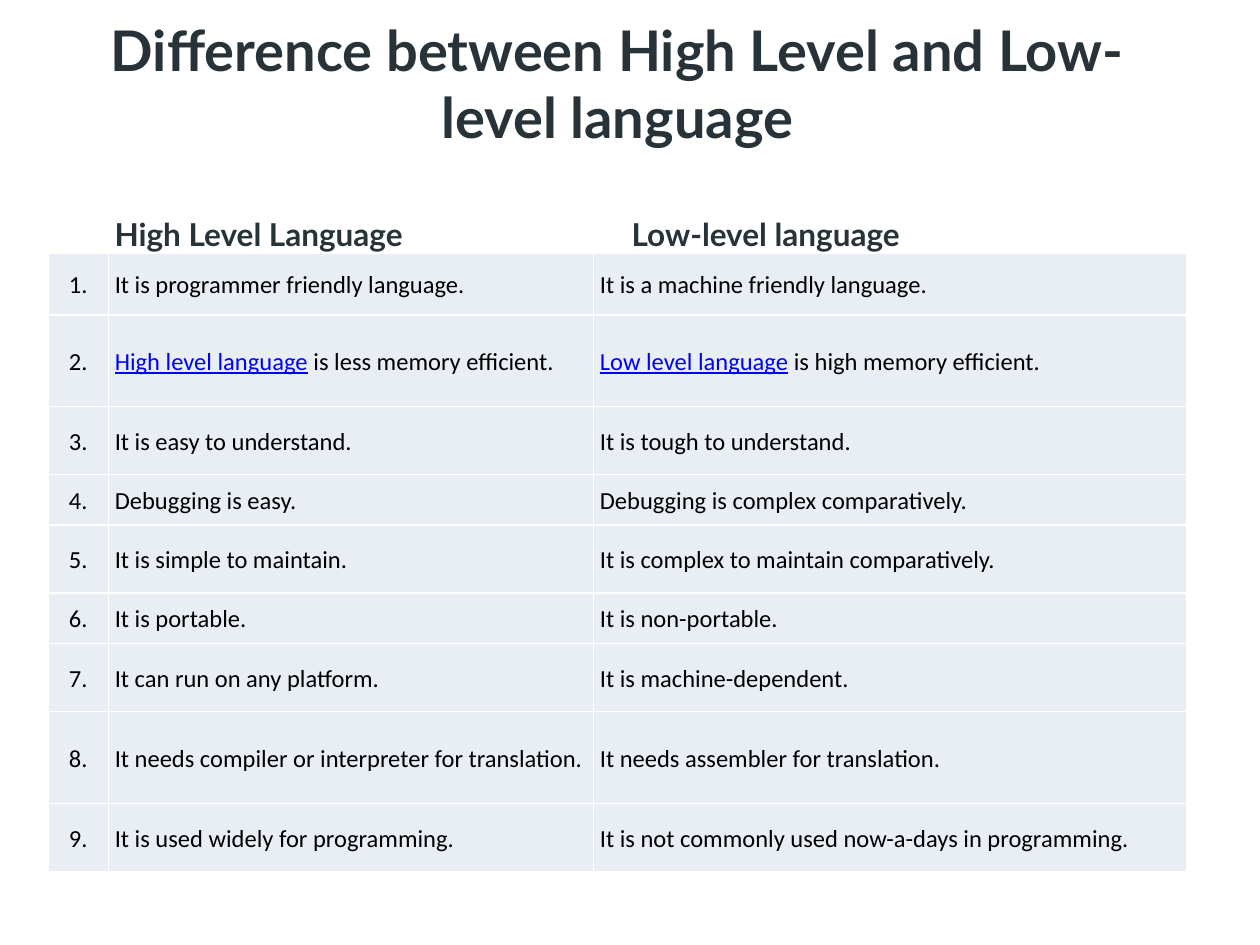
from dataclasses import dataclass

import lxml.etree
import pptx
import pptx.dml.color
import pptx.enum.text
import pptx.oxml.ns
import pptx.util

Pt = pptx.util.Pt
ALIGN = pptx.enum.text.PP_ALIGN
MIDDLE = pptx.enum.text.MSO_ANCHOR.MIDDLE


@dataclass(frozen=True)
class Theme:
    heading_font: str = "Lato"
    body_font: str = "Calibri"
    heading: str = "273239"
    body: str = "000000"
    term: str = "0000FF"
    cell: str = "E9EDF4"
    border: str = "FFFFFF"
    title_size: float = 32
    heading_size: float = 18
    body_size: float = 14


THEME = Theme()

COLUMN_WIDTHS = [34.6, 277.2, 339.1]
SHORT, MEDIUM, TALL = 28.8, 38.9, 52.5
NUMBER_INSETS = (2.2, 2.2)
POINT_INSETS = (3.6, 5)
TERMS = ("High level language", "Low level language")

COMPARISON = [
    (35, "It is programmer friendly language.", "It is a machine friendly language."),
    (TALL, "High level language is less memory efficient.",
     "Low level language is high memory efficient."),
    (MEDIUM, "It is easy to understand.", "It is tough to understand."),
    (SHORT, "Debugging is easy.", "Debugging is complex comparatively."),
    (MEDIUM, "It is simple to maintain.", "It is complex to maintain comparatively."),
    (SHORT, "It is portable.", "It is non-portable."),
    (MEDIUM, "It can run on any platform.", "It is machine-dependent."),
    (TALL, "It needs compiler or interpreter for translation.",
     "It needs assembler for translation."),
    (MEDIUM, "It is used widely for programming.",
     "It is not commonly used now-a-days in programming."),
]


def add_run(paragraph, text, font, size, color, bold=False, underline=False):
    run = paragraph.add_run()
    run.text = text
    run.font.name = font
    run.font.size = Pt(size)
    run.font.bold = bold
    run.font.underline = underline
    run.font.color.rgb = pptx.dml.color.RGBColor.from_string(color)


def add_xml(parent, tag, **attributes):
    return lxml.etree.SubElement(parent, pptx.oxml.ns.qn(tag), attributes)


def add_heading(slide, left, top, width, height, text, size, align, spacing, tab=None):
    heading = slide.shapes.add_textbox(Pt(left), Pt(top), Pt(width), Pt(height))
    frame = heading.text_frame
    frame.word_wrap = True
    frame.vertical_anchor = MIDDLE
    frame.margin_left = frame.margin_right = Pt(5)
    frame.margin_top = frame.margin_bottom = Pt(2.7)
    paragraph = frame.paragraphs[0]
    paragraph.alignment = align
    paragraph.line_spacing = spacing
    if tab:
        stops = add_xml(paragraph._p.get_or_add_pPr(), "a:tabLst")
        add_xml(stops, "a:tab", pos=str(Pt(tab)), algn="l")
    add_run(paragraph, text, THEME.heading_font, size, THEME.heading, bold=True)


def style_cell(cell, insets):
    cell.margin_left = cell.margin_right = Pt(insets[0])
    cell.margin_top = cell.margin_bottom = Pt(insets[1])
    cell.vertical_anchor = MIDDLE
    for side in ("a:lnL", "a:lnR", "a:lnT", "a:lnB"):
        border = add_xml(cell._tc.get_or_add_tcPr(), side, w=str(Pt(1)))
        add_xml(add_xml(border, "a:solidFill"), "a:srgbClr", val=THEME.border)
    cell.fill.solid()
    cell.fill.fore_color.rgb = pptx.dml.color.RGBColor.from_string(THEME.cell)


def fill_cell(cell, text, align, insets):
    style_cell(cell, insets)
    paragraph = cell.text_frame.paragraphs[0]
    paragraph.alignment = align
    paragraph.line_spacing = 1.07
    term = next((name for name in TERMS if text.startswith(name)), "")
    if term:
        add_run(paragraph, term, THEME.body_font, THEME.body_size, THEME.term, underline=True)
    add_run(paragraph, text[len(term):], THEME.body_font, THEME.body_size, THEME.body)


def add_comparison(slide, left, top):
    height = sum(row[0] for row in COMPARISON)
    table = slide.shapes.add_table(
        len(COMPARISON), len(COLUMN_WIDTHS),
        Pt(left), Pt(top), Pt(sum(COLUMN_WIDTHS)), Pt(height)).table
    table.first_row = False
    table.horz_banding = False
    for column, width in zip(table.columns, COLUMN_WIDTHS):
        column.width = Pt(width)
    for index, (row_height, high_level, low_level) in enumerate(COMPARISON):
        table.rows[index].height = Pt(row_height)
        fill_cell(table.cell(index, 0), f"{index + 1}.", ALIGN.CENTER, NUMBER_INSETS)
        fill_cell(table.cell(index, 1), high_level, ALIGN.LEFT, POINT_INSETS)
        fill_cell(table.cell(index, 2), low_level, ALIGN.LEFT, POINT_INSETS)


def main():
    presentation = pptx.Presentation()
    presentation.slide_width = Pt(720)
    presentation.slide_height = Pt(540)
    slide = presentation.slides.add_slide(presentation.slide_layouts[6])
    add_heading(slide, 27.4, 28.1, 650.9, 38.2,
                "Difference between High Level and Low-level language",
                THEME.title_size, ALIGN.CENTER, 1.0)
    add_comparison(slide, 27.4, 144.9)
    add_heading(slide, 60.5, 115.9, 573.8, 38.2,
                "High Level Language\tLow-level language",
                THEME.heading_size, ALIGN.LEFT, 0.9, tab=295.5)
    presentation.save("out.pptx")


if __name__ == "__main__":
    main()
